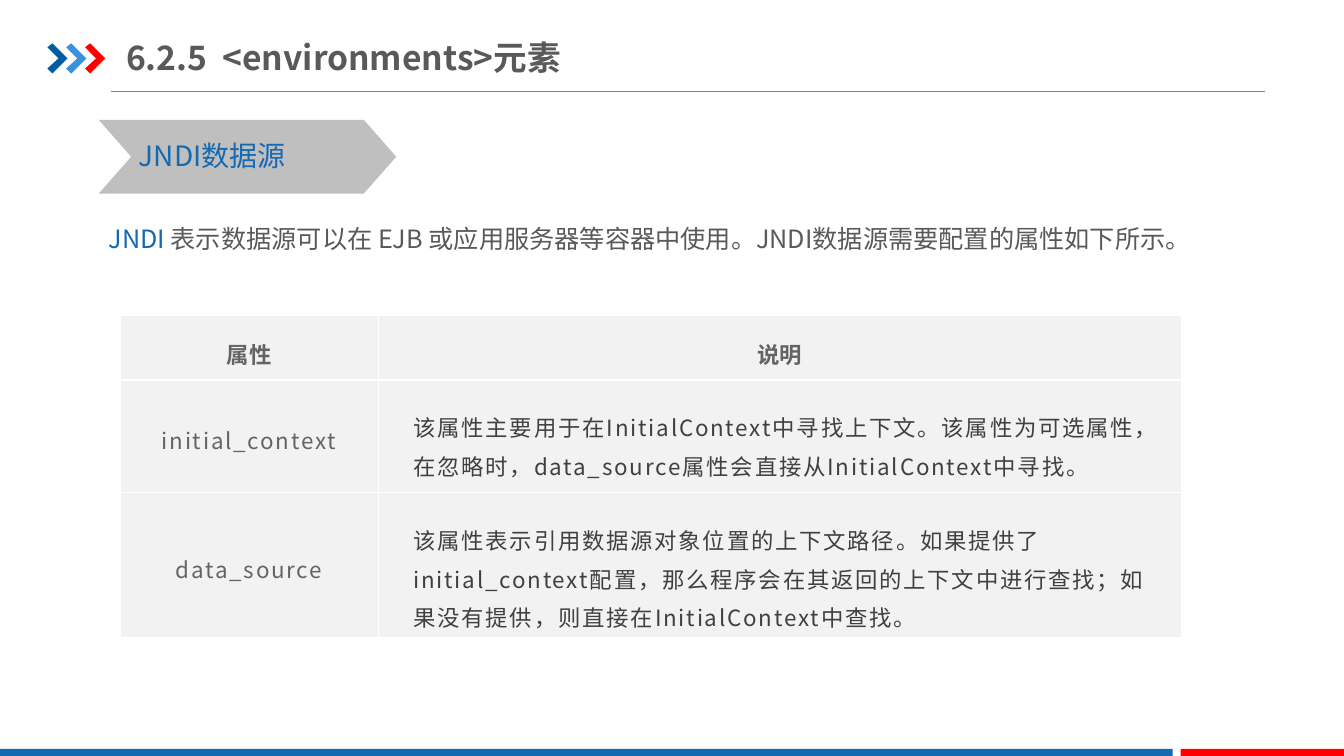
import lxml.etree
import pptx
import pptx.dml.color
import pptx.enum.shapes
import pptx.enum.text
import pptx.oxml.ns
import pptx.util

Inches = pptx.util.Inches
Pt = pptx.util.Pt
RGBColor = pptx.dml.color.RGBColor
MSO_SHAPE = pptx.enum.shapes.MSO_SHAPE
MSO_ANCHOR = pptx.enum.text.MSO_ANCHOR
PP_ALIGN = pptx.enum.text.PP_ALIGN
qn = pptx.oxml.ns.qn

FONT = "Noto Sans CJK SC"
BLUE = RGBColor(0x13, 0x69, 0xB2)
DARK_BLUE = RGBColor(0x00, 0x5D, 0xA2)
LIGHT_BLUE = RGBColor(0x39, 0x92, 0xDB)
RED = RGBColor(0xFF, 0x00, 0x00)
RULE_GRAY = RGBColor(0x80, 0x80, 0x80)
BANNER_GRAY = RGBColor(0xBF, 0xBF, 0xBF)
CELL_GRAY = RGBColor(0xF2, 0xF2, 0xF2)
TEXT_GRAY = RGBColor(0x59, 0x59, 0x59)
LABEL_GRAY = RGBColor(0x64, 0x64, 0x64)
DETAIL_GRAY = RGBColor(0x40, 0x40, 0x40)
WHITE = RGBColor(0xFF, 0xFF, 0xFF)

ROWS = [
    ("属性", "说明"),
    ("initial_context",
     "该属性主要用于在InitialContext中寻找上下文。该属性为可选属性，"
     "在忽略时，data_source属性会直接从InitialContext中寻找。"),
    ("data_source",
     "该属性表示引用数据源对象位置的上下文路径。如果提供了initial_context配置，"
     "那么程序会在其返回的上下文中进行查找；如果没有提供，则直接在InitialContext中查找。"),
]
COLUMN_WIDTHS = (2.56, 7.97)
ROW_HEIGHTS = (0.64, 1.12, 1.44)


def format_span(span, size, color, bold=False, spacing=None):
    span.font.size = Pt(size)
    span.font.bold = bold
    span.font.color.rgb = color
    span.font.name = FONT
    properties = span.font._element
    lxml.etree.SubElement(properties, qn("a:ea"), typeface=FONT)
    if spacing:
        properties.set("spc", str(round(spacing * 100)))


def set_insets(frame, across, down):
    """Set the side and the top and bottom margins of a frame or cell."""
    frame.margin_left = frame.margin_right = Inches(across)
    frame.margin_top = frame.margin_bottom = Inches(down)


def paint(shape, color):
    shape.shadow.inherit = False
    shape.fill.solid()
    shape.fill.fore_color.rgb = color
    shape.line.fill.background()


def add_block(page, kind, left, top, width, height, color):
    block = page.shapes.add_shape(
        kind, Inches(left), Inches(top), Inches(width), Inches(height))
    paint(block, color)
    return block


def add_arrow_mark(page, left, color):
    """Draw one of the thin angle marks beside the title."""
    outline = [(0, 0.47), (0.05, 0.43), (0.2, 0.58),
               (0.05, 0.73), (0, 0.68), (0.11, 0.58)]
    points = [(Inches(left + x), Inches(y)) for x, y in outline]
    builder = page.shapes.build_freeform(*points[0])
    builder.add_line_segments(points[1:], close=True)
    paint(builder.convert_to_shape(), color)


def add_rule(page):
    rule = page.shapes.add_connector(
        pptx.enum.shapes.MSO_CONNECTOR.STRAIGHT,
        Inches(1.1), Inches(0.91), Inches(12.55), Inches(0.91))
    rule.line.color.rgb = RULE_GRAY
    rule.line.width = Pt(0.5)
    lxml.etree.SubElement(rule._element.spPr, qn("a:effectLst"))


def set_title(page, text):
    title = page.shapes.title
    title.left, title.top = Inches(1.25), Inches(0.29)
    title.width, title.height = Inches(4.87), Inches(0.55)
    frame = title.text_frame
    frame.text = text
    frame.vertical_anchor = MSO_ANCHOR.MIDDLE
    set_insets(frame, 0, 0.07)
    para = frame.paragraphs[0]
    para.alignment = PP_ALIGN.LEFT
    format_span(para.runs[0], 24, TEXT_GRAY, bold=True)


def add_text(page, left, top, width, height, pieces, size, line_spacing=None):
    """Add one paragraph made of (text, colour) pieces."""
    box = page.shapes.add_textbox(
        Inches(left), Inches(top), Inches(width), Inches(height))
    box.text_frame.word_wrap = True
    para = box.text_frame.paragraphs[0]
    para.line_spacing = line_spacing
    for text, color in pieces:
        span = para.add_run()
        span.text = text
        format_span(span, size, color)


def add_border(cell, side):
    line = lxml.etree.SubElement(
        cell._tc.get_or_add_tcPr(), qn("a:ln" + side), w=str(Pt(1)))
    fill = lxml.etree.SubElement(line, qn("a:solidFill"))
    lxml.etree.SubElement(fill, qn("a:srgbClr"), val=str(WHITE))


def fill_cell(cell, text, is_header, is_label):
    for side in "LRTB":
        add_border(cell, side)
    cell.fill.solid()
    cell.fill.fore_color.rgb = CELL_GRAY
    cell.vertical_anchor = MSO_ANCHOR.MIDDLE
    set_insets(cell, 0.35, 0.16 if is_header else 0.24)
    cell.text_frame.text = text
    para = cell.text_frame.paragraphs[0]
    para.line_spacing = 1.2
    centred = is_header or is_label
    para.alignment = PP_ALIGN.CENTER if centred else PP_ALIGN.LEFT
    format_span(para.runs[0], 16, LABEL_GRAY if centred else DETAIL_GRAY,
                bold=is_header, spacing=None if is_header else 1.3)


def add_property_table(page):
    table = page.shapes.add_table(
        len(ROWS), len(COLUMN_WIDTHS), Inches(1.19), Inches(3.13),
        Inches(sum(COLUMN_WIDTHS)), Inches(sum(ROW_HEIGHTS))).table
    table.first_row = False
    table.horz_banding = False
    for column, width in zip(table.columns, COLUMN_WIDTHS):
        column.width = Inches(width)
    for row, height, texts in zip(table.rows, ROW_HEIGHTS, ROWS):
        row.height = Inches(height)
        for index, text in enumerate(texts):
            fill_cell(row.cells[index], text, texts is ROWS[0], index == 0)


def main():
    deck = pptx.Presentation()
    deck.slide_width, deck.slide_height = Inches(13.33), Inches(7.5)
    page = deck.slides.add_slide(deck.slide_layouts[5])

    add_rule(page)
    for index, color in enumerate((DARK_BLUE, LIGHT_BLUE, RED)):
        add_arrow_mark(page, 0.47 + 0.187 * index, color)
    add_block(page, MSO_SHAPE.RECTANGLE, 0, 7.43, 11.63, 0.09, BLUE)
    add_block(page, MSO_SHAPE.RECTANGLE, 11.71, 7.43, 1.63, 0.09, RED)

    set_title(page, "6.2.5  <environments>元素")
    banner = add_block(page, MSO_SHAPE.CHEVRON, 0.98, 1.19, 2.95, 0.73, BANNER_GRAY)
    banner.adjustments[0] = 0.44
    add_text(page, 1.28, 1.33, 2.56, 0.44, [("JNDI数据源", BLUE)], 20)
    add_text(page, 0.98, 2.02, 10.76, 1.55, [
        ("JNDI", BLUE),
        (" 表示数据源可以在 EJB 或应用服务器等容器中使用。"
         "JNDI数据源需要配置的属性如下所示。", TEXT_GRAY),
    ], 18, line_spacing=1.5)
    add_property_table(page)

    deck.save("out.pptx")


if __name__ == "__main__":
    main()
